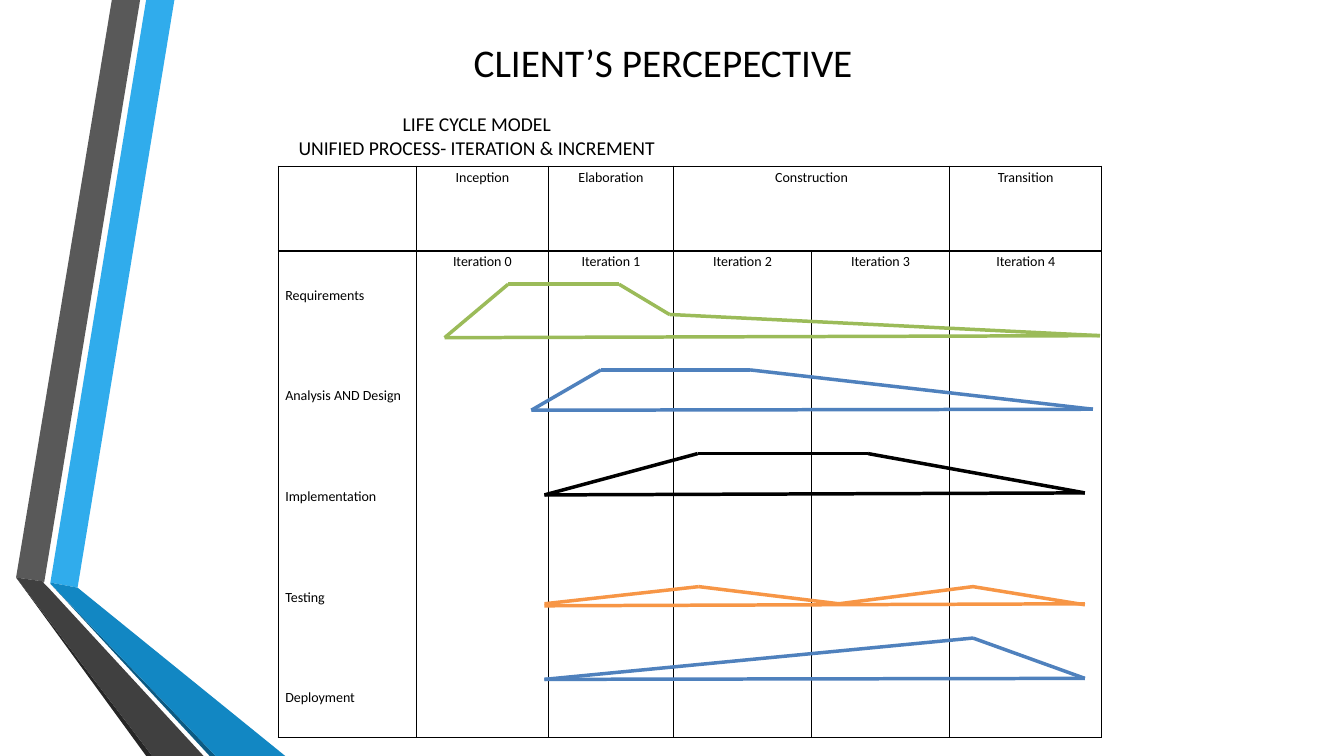
from lxml.etree import SubElement
from pptx import Presentation
from pptx.dml.color import RGBColor
from pptx.enum.shapes import MSO_CONNECTOR
from pptx.enum.text import MSO_ANCHOR, MSO_AUTO_SIZE, PP_ALIGN
from pptx.oxml import parse_xml
from pptx.oxml.ns import nsdecls, qn
from pptx.util import Inches, Pt

COLORS = {
    "black": "000000", "green": "9BBB59", "blue": "4F81BD", "orange": "F79646",
    "sky": "30ACEC", "gray": "595959", "coal": "262626", "navy": "0C5A82",
    "azure": "1287C3", "slate": "404040",
}

RIBBONS = [
    ("sky", [(0.5, 5.78), (0.77, 5.83), (1.73, 0), (1.45, 0)]),
    ("gray", [(1.39, 0), (1.11, 0), (0.16, 5.73), (0.44, 5.77)]),
    ("coal", [(0.16, 5.73), (1.45, 7.5), (1.51, 7.5)]),
    ("navy", [(0.5, 5.79), (2.08, 7.5), (2.14, 7.5)]),
    ("azure", [(0.5, 5.79), (2.14, 7.5), (2.83, 7.5), (0.77, 5.83), (0.5, 5.78)]),
    ("slate", [(2.02, 7.5), (0.48, 5.83), (0.43, 5.78), (0.44, 5.77),
               (0.16, 5.73), (1.51, 7.5)]),
]

PHASES = ["", "Inception", "Elaboration", "Construction", "", "Transition"]
DISCIPLINES = ["Requirements", "Analysis AND Design", "Implementation",
               "Testing", "Deployment"]

EFFORT = [
    ("green", [(4.41, 3.35), (5.04, 2.82), (6.14, 2.82), (6.64, 3.12), (10.91, 3.33)],
     (3.35, 3.33)),
    ("blue", [(5.27, 4.07), (5.96, 3.67), (7.44, 3.67), (10.84, 4.06)], (4.07, 4.06)),
    ("black", [(5.4, 4.91), (6.92, 4.5), (8.61, 4.5), (10.76, 4.89)], (4.91, 4.89)),
    ("orange", [(5.4, 5.99), (6.93, 5.82), (8.32, 5.99), (9.65, 5.82), (10.76, 6)],
     (6.01, 5.99)),
    ("blue", [(5.4, 6.74), (9.65, 6.33), (10.76, 6.73)], (6.74, 6.73)),
]


class SlideBuilder:
    """Hold the slide and its style, and add each kind of element."""

    def __init__(self, s, font="Calibri"):
        """Keep the slide and the font for all text."""
        self.s, self.font = s, font

    def rgb(self, color):
        """Return the named colour."""
        return RGBColor.from_string(COLORS[color])

    def format_text(self, tf, size, align=PP_ALIGN.LEFT):
        """Apply font, size, colour and alignment to every run."""
        for p in tf.paragraphs:
            p.alignment = align
            for r in p.runs:
                r.font.name, r.font.size = self.font, Pt(size)
                r.font.color.rgb = self.rgb("black")

    def place(self, sp, left, top, width, height):
        """Set the position and size of a shape."""
        sp.left, sp.top = Inches(left), Inches(top)
        sp.width, sp.height = Inches(width), Inches(height)

    def ribbons(self, ribbons):
        """Draw the folded ribbons as one group of filled outlines."""
        group = self.s.shapes.add_group_shape()
        for color, points in ribbons:
            pts = [(Inches(x), Inches(y)) for x, y in points]
            fb = group.shapes.build_freeform(*pts[0], scale=1.0)
            fb.add_line_segments(pts[1:], close=True)
            sp = fb.convert_to_shape()
            sp.shadow.inherit = False
            sp.fill.solid()
            sp.fill.fore_color.rgb = self.rgb(color)
            sp.line.fill.background()

    def title(self, text, box, size):
        """Fill and move the title placeholder in front of the ribbons."""
        sp = self.s.shapes.title
        self.place(sp, *box)
        tf = sp.text_frame
        tf.text, tf.word_wrap = text, True
        tf.vertical_anchor = MSO_ANCHOR.MIDDLE
        self.format_text(tf, size, PP_ALIGN.CENTER)
        self.s.shapes.element.append(sp.element)

    def text(self, text, box, size):
        """Add a text box that grows with its text."""
        tf = self.s.shapes.add_textbox(*map(Inches, box)).text_frame
        tf.text, tf.word_wrap = text, True
        tf.auto_size = MSO_AUTO_SIZE.SHAPE_TO_FIT_TEXT
        self.format_text(tf, size)

    def cell(self, cell, text, align):
        """Write a bordered table cell without fill."""
        cell.margin_left = cell.margin_right = Inches(0.07)
        cell.margin_top = cell.margin_bottom = 0
        cell.fill.background()
        tcPr = cell._tc.get_or_add_tcPr()
        for i, side in enumerate(("lnL", "lnR", "lnT", "lnB")):
            tcPr.insert(i, parse_xml(
                f'<a:{side} {nsdecls("a")} w="12700"><a:solidFill>'
                f'<a:srgbClr val="{COLORS["black"]}"/></a:solidFill></a:{side}>'))
        tf = cell.text_frame
        tf.text = text
        for p in tf.paragraphs:
            p.line_spacing, p.space_after = 1.15, Pt(10)
        self.format_text(tf, 10, align)

    def table(self, rows, box, widths, heights):
        """Add the phase table and return it."""
        gf = self.s.shapes.add_table(len(rows), len(widths), *map(Inches, box))
        tbl = gf.table
        tbl.first_row = tbl.horz_banding = False
        for col, width in zip(tbl.columns, widths):
            col.width = Inches(width)
        for i, (height, texts) in enumerate(zip(heights, rows)):
            tbl.rows[i].height = Inches(height)
            for j, text in enumerate(texts):
                self.cell(tbl.cell(i, j), text,
                          PP_ALIGN.CENTER if j else PP_ALIGN.LEFT)
        return tbl

    def line(self, group, start, end, color):
        """Add one straight line to a group."""
        ends = [Inches(v) for v in (*start, *end)]
        cx = group.shapes.add_connector(MSO_CONNECTOR.STRAIGHT, *ends)
        cx.line.color.rgb, cx.line.width = self.rgb(color), Pt(2.5)
        SubElement(cx._element.spPr, qn("a:effectLst"))

    def effort(self, curves):
        """Draw every effort curve with its baseline in one group."""
        group = self.s.shapes.add_group_shape()
        for color, points, (y1, y2) in curves:
            for start, end in zip(points, points[1:]):
                self.line(group, start, end, color)
            self.line(group, (points[0][0], y1), (points[-1][0], y2), color)


def main():
    """Build and save the slide."""
    prs = Presentation()
    prs.slide_width, prs.slide_height = Inches(13.33), Inches(7.5)
    b = SlideBuilder(prs.slides.add_slide(prs.slide_layouts[5]))
    b.ribbons(RIBBONS)
    b.title("LIFE CYCLE MODEL\vUNIFIED PROCESS- ITERATION & INCREMENT",
            (2.1, 0.68, 5.26, 1.33), 14)
    iterations = ["\n".join(DISCIPLINES)] + [f"Iteration {i}" for i in range(5)]
    tbl = b.table([PHASES, iterations], (2.76, 1.65, 8.17, 5.67),
                  [1.37, 1.31, 1.24, 1.37, 1.37, 1.51], [0.84, 4.83])
    tbl.cell(0, 3).merge(tbl.cell(0, 4))
    labels = tbl.cell(1, 0)
    labels.margin_top = Inches(0.33)
    for p in labels.text_frame.paragraphs[1:]:
        p.space_before = Pt(48)
    b.effort(EFFORT)
    b.text("CLIENT’S PERCEPECTIVE", (4.6, 0.33, 4.54, 0.57), 28)
    prs.save("out.pptx")


if __name__ == "__main__":
    main()
